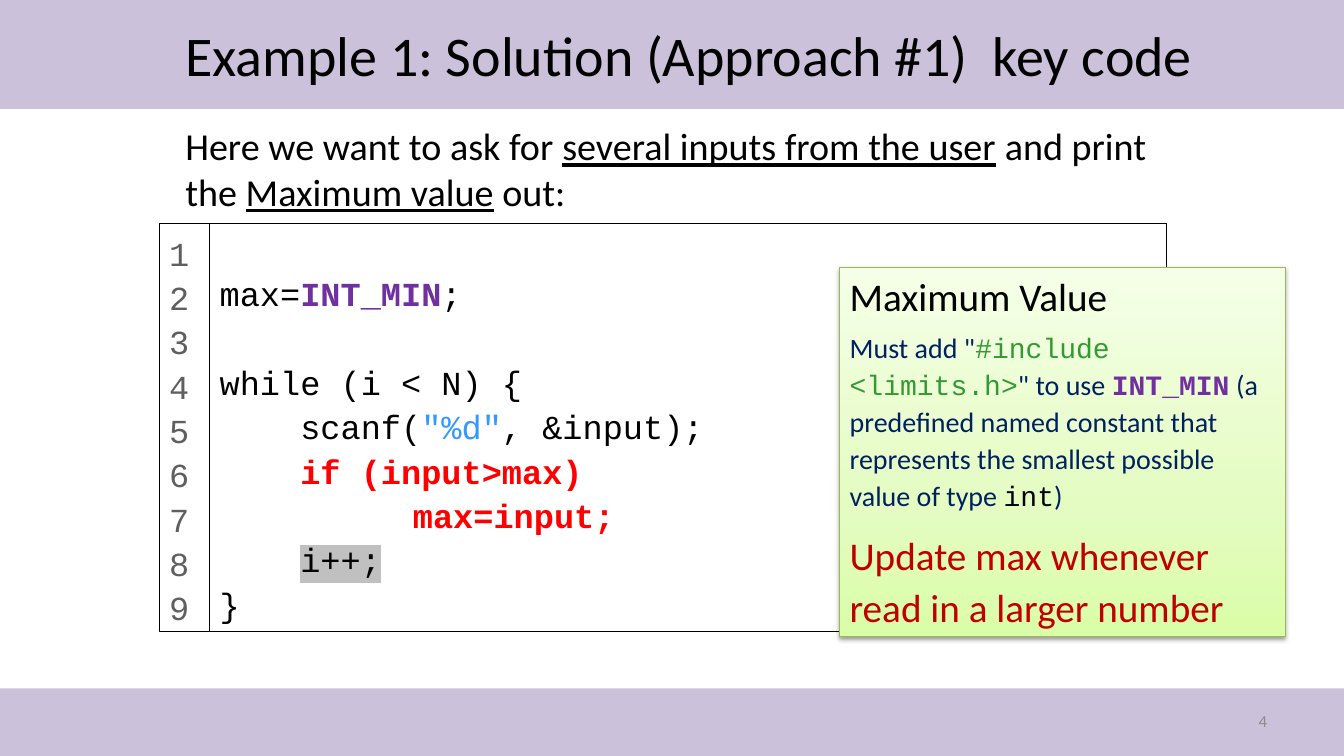
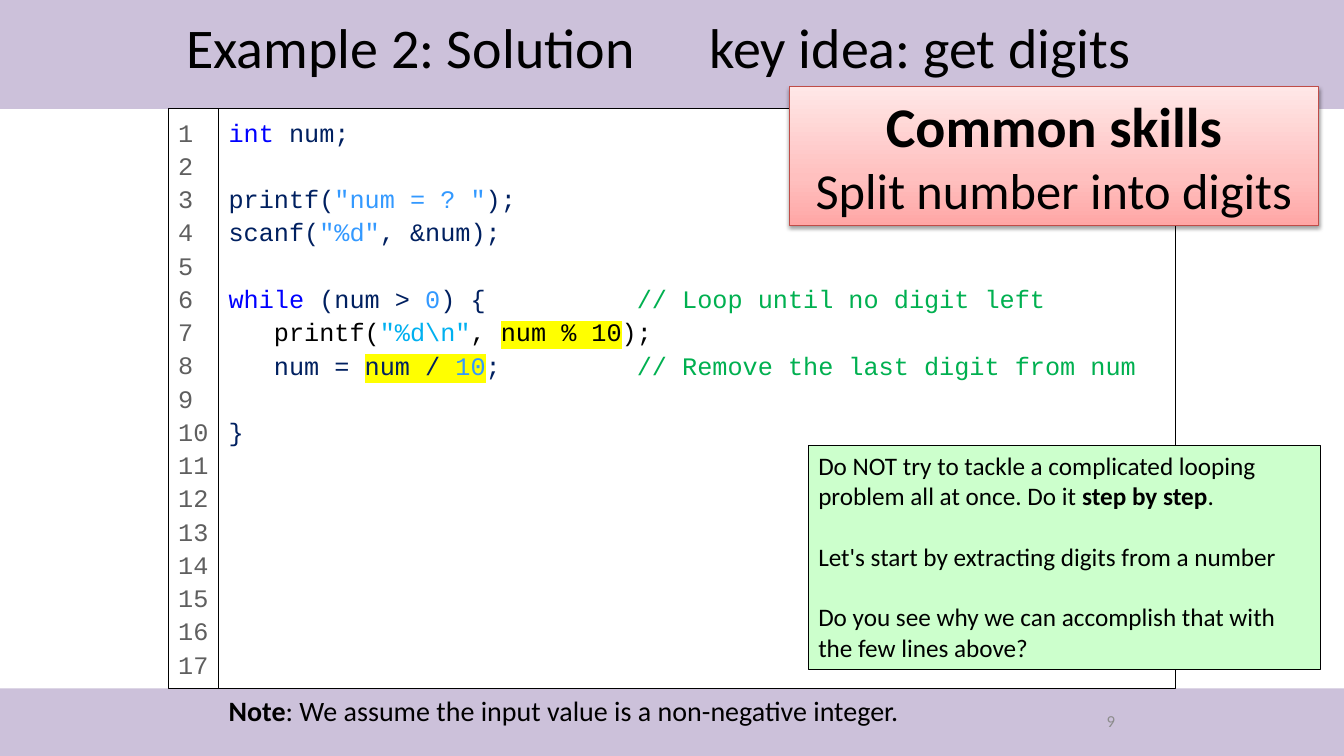
from lxml import etree
from pptx import Presentation
from pptx.dml.color import RGBColor
from pptx.enum import shapes, text
from pptx.oxml import ns
from pptx.util import Pt

# Colours
BLACK = RGBColor(0x00, 0x00, 0x00)
WHITE = RGBColor(0xFF, 0xFF, 0xFF)
LAVENDER = RGBColor(0xCC, 0xC1, 0xDA)
GREY = RGBColor(0x8C, 0x8C, 0x8C)
DARK_GREY = RGBColor(0x5F, 0x5F, 0x5F)
SILVER = RGBColor(0xC0, 0xC0, 0xC0)
NAVY = RGBColor(0x00, 0x20, 0x60)
BLUE = RGBColor(0x00, 0x00, 0xFF)
SKY = RGBColor(0x33, 0x99, 0xFF)
CYAN = RGBColor(0x00, 0xB0, 0xF0)
PURPLE = RGBColor(0x70, 0x30, 0xA0)
RED = RGBColor(0xFF, 0x00, 0x00)
DARK_RED = RGBColor(0xC0, 0x00, 0x00)
GREEN = RGBColor(0x33, 0x99, 0x33)
COMMENT_GREEN = RGBColor(0x00, 0xB0, 0x50)
PALE_GREEN = RGBColor(0xCC, 0xFF, 0xCC)
YELLOW = RGBColor(0xFF, 0xFF, 0x00)
OLIVE = RGBColor(0x98, 0xB9, 0x55)
BRICK = RGBColor(0xBF, 0x4C, 0x48)
LIME_GRADIENT = ((0, "DAFDA7"), (35, "E4FCC2"), (100, "F5FFE7"))
PINK_GRADIENT = ((0, "FFA6A5"), (35, "FFC0BF"), (100, "FFE7E7"))

# Text styles
SANS = {"name": "Calibri", "color": BLACK}
MONO = {"name": "Courier New", "color": BLACK}
BOLD = {"bold": True}
UNDERLINE = {"underline": True}
MARKED = {"highlight": YELLOW}
CONSTANT = {"name": "Courier New", "color": PURPLE, "bold": True}
CENTER = {"alignment": text.PP_ALIGN.CENTER}
RIGHT = {"alignment": text.PP_ALIGN.RIGHT}
CODE = {"line_spacing": 1.1}
MIDDLE = {"vertical_anchor": text.MSO_ANCHOR.MIDDLE}

SLIDE_WIDTH, SLIDE_HEIGHT = 960, 540
HEADER_HEIGHT, FOOTER_TOP = 77.8, 491.8
NUMBERS_WIDTH, CODE_WIDTH = 36, 683.3


def add_box(slide, at, fill=None, line=None, gradient=None):
    """Add a rectangle; a gradient one also casts a soft shadow."""
    shape = slide.shapes.add_shape(shapes.MSO_SHAPE.RECTANGLE, *map(Pt, at))
    shape.shadow.inherit = False
    if gradient:
        shape.fill.gradient()
        shape.fill.gradient_angle = 90
        stops = shape._element.spPr.find(".//" + ns.qn("a:gsLst"))
        for stop in list(stops):
            stops.remove(stop)
        for position, colour in gradient:
            stop = etree.SubElement(stops, ns.qn("a:gs"), pos=str(position * 1000))
            etree.SubElement(stop, ns.qn("a:srgbClr"), val=colour)
    elif fill is not None:
        shape.fill.solid()
        shape.fill.fore_color.rgb = fill
    else:
        shape.fill.background()
    if line is None:
        shape.line.fill.background()
    else:
        shape.line.color.rgb = line
        shape.line.width = Pt(0.75)
    if gradient:
        effects = shape._element.spPr.find(ns.qn("a:effectLst"))
        shadow = etree.SubElement(effects, ns.qn("a:outerShdw"), blurRad=str(Pt(3.1)),
                                  dist=str(Pt(1.6)), dir="5400000", rotWithShape="0")
        colour = etree.SubElement(shadow, ns.qn("a:srgbClr"), val="000000")
        etree.SubElement(colour, ns.qn("a:alpha"), val="38000")
    return shape


def write(shape, base, paragraphs, frame_format=None):
    """Fill a shape with (paragraph format, (text, style), ...) entries."""
    frame = shape.text_frame
    settings = {"word_wrap": True, "vertical_anchor": text.MSO_ANCHOR.TOP}
    for name, value in {**settings, **(frame_format or {})}.items():
        setattr(frame, name, value)
    for index, (paragraph_format, *runs) in enumerate(paragraphs):
        paragraph = frame.paragraphs[0] if index == 0 else frame.add_paragraph()
        for name, value in {"alignment": text.PP_ALIGN.LEFT, **paragraph_format}.items():
            if name == "tab":
                tabs = etree.SubElement(paragraph._p.get_or_add_pPr(), ns.qn("a:tabLst"))
                etree.SubElement(tabs, ns.qn("a:tab"), pos=str(Pt(value)), algn="l")
            elif name == "indent":
                paragraph._p.get_or_add_pPr().set("marL", str(Pt(value)))
            else:
                setattr(paragraph, name, value)
        for words, style in runs:
            run = paragraph.add_run()
            run.text = words
            for name, value in {**base, **style}.items():
                if name == "color":
                    run.font.color.rgb = value
                elif name == "highlight":
                    highlight = etree.Element(ns.qn("a:highlight"))
                    etree.SubElement(highlight, ns.qn("a:srgbClr"), val=str(value))
                    run.font._element.find(ns.qn("a:solidFill")).addnext(highlight)
                else:
                    setattr(run.font, name, value)


presentation = Presentation()
presentation.slide_width, presentation.slide_height = Pt(SLIDE_WIDTH), Pt(SLIDE_HEIGHT)

# Shared parts: bands, title and code panel with line numbers
pages = [
    {
        "title": "Example 1: Solution (Approach #1)\tkey code",
        "title_at": (125.3, 5.8, 768.2, 66.2),
        "title_tab": 576.8,
        "code_at": (149.8, 159.8, CODE_WIDTH, 291.6),
        "code_size": 24,
        "code_top": 32.4,
        "line_count": 9,
        "code": [
            (CODE, ("max=", {}), ("INT_MIN", CONSTANT), (";", {})),
            ({**CODE, "space_before": Pt(31.7)}, ("while (i < N) {", {})),
            (CODE, ("    scanf(", {}), ('"%d"', {"color": SKY}), (", &input);", {})),
            (CODE, ("    ", {}), ("if (input>max)", {"color": RED, **BOLD})),
            ({**CODE, "indent": 138}, ("max=input;", {"color": RED, **BOLD})),
            (CODE, ("    ", {}), ("i++;", {"highlight": SILVER})),
            (CODE, ("}", {})),
        ],
    },
    {
        "title": "Example 2: Solution\tkey idea: get digits",
        "title_at": (126, 13, 702, 39.6),
        "title_tab": 374,
        "code_at": (156.2, HEADER_HEIGHT, CODE_WIDTH, FOOTER_TOP - HEADER_HEIGHT),
        "code_size": 18,
        "code_top": 3.6,
        "line_count": 17,
        "code": [
            (CODE, ("int ", {"color": BLUE}), ("num;", {"color": NAVY})),
            ({**CODE, "space_before": Pt(23.8)}, ("printf(", {"color": NAVY}),
             ('"num = ? "', {"color": SKY}), (");", {"color": NAVY})),
            (CODE, ("scanf(", {"color": NAVY}), ('"%d"', {"color": SKY}),
             (", &num);", {"color": NAVY})),
            ({**CODE, "space_before": Pt(23.8), "tab": 291.6}, ("while ", {"color": BLUE}),
             ("(num > ", {"color": NAVY}), ("0", {"color": SKY}), (") {\t", {"color": NAVY}),
             ("// Loop until no digit left", {"color": COMMENT_GREEN})),
            (CODE, ("   printf(", {}), ('"%d\\n"', {"color": CYAN}), (", ", {}),
             ("num % 10", MARKED), (");", {})),
            ({**CODE, "tab": 291.6}, ("   num = ", {"color": NAVY}),
             ("num / ", {"color": NAVY, **MARKED}), ("10", {"color": SKY, **MARKED}),
             (";\t", {"color": NAVY}),
             ("// Remove the last digit from num", {"color": COMMENT_GREEN})),
            ({**CODE, "space_before": Pt(23.8)}, ("}", {"color": NAVY})),
        ],
    },
]
slides = []
for page in pages:
    slide = presentation.slides.add_slide(presentation.slide_layouts[6])
    slides.append(slide)
    add_box(slide, (0, 0, SLIDE_WIDTH, HEADER_HEIGHT), LAVENDER)
    add_box(slide, (0, FOOTER_TOP, SLIDE_WIDTH, SLIDE_HEIGHT - FOOTER_TOP), LAVENDER)
    title = slide.shapes.add_textbox(*map(Pt, page["title_at"]))
    write(title, {**SANS, "size": Pt(40)},
          [({"tab": page["title_tab"]}, (page["title"], {}))], MIDDLE)

    left, top, width, height = page["code_at"]
    mono = {**MONO, "size": Pt(page["code_size"])}
    code = add_box(slide, page["code_at"], WHITE, BLACK)
    write(code, mono, page["code"], {"margin_top": Pt(page["code_top"])})
    numbers = add_box(slide, (left - NUMBERS_WIDTH, top, NUMBERS_WIDTH, height), WHITE, BLACK)
    write(numbers, {**mono, "color": DARK_GREY},
          [(CODE, (str(number + 1), {})) for number in range(page["line_count"])],
          {"margin_right": 0})

maximum_slide, digits_slide = slides

# Slide 1: task and callout
task = maximum_slide.shapes.add_textbox(Pt(125.3), Pt(84.2), Pt(703.4), Pt(64.1))
write(task, {**SANS, "size": Pt(27.2)}, [
    ({}, ("Here we want to ask for ", {}), ("several inputs from the user", UNDERLINE),
     (" and print the ", {}), ("Maximum value", UNDERLINE), (" out:", {})),
])
callout = add_box(maximum_slide, (599.8, 190.8, 318.2, 264.2), line=OLIVE,
                  gradient=LIME_GRADIENT)
write(callout, {**SANS, "color": NAVY, "size": Pt(20)}, [
    ({}, ("Maximum Value", {"size": Pt(28), "color": BLACK})),
    ({**CODE, "space_before": Pt(6)}, ('Must add "', {}),
     ("#include <limits.h>", {**MONO, "color": GREEN}), ('" to use ', {}),
     ("INT_MIN", CONSTANT),
     (" (a predefined named constant that represents the smallest possible value of type ", {}),
     ("int", MONO), (")", {})),
    ({**CODE, "space_before": Pt(10.6)},
     ("Update max whenever read in a larger number", {"size": Pt(28), "color": DARK_RED})),
])

# Slide 2: note, advice and heading card
note = digits_slide.shapes.add_textbox(Pt(156.2), Pt(FOOTER_TOP), Pt(600), Pt(31.7))
write(note, {**SANS, "size": Pt(20)}, [
    ({}, ("Note", BOLD), (": We assume the input value is a non-negative integer.", {})),
])
advice = add_box(digits_slide, (577.4, 318.2, 365.8, 159.8), PALE_GREEN, BLACK)
write(advice, {**SANS, "size": Pt(18)}, [
    ({}, ("Do NOT try to tackle a complicated looping problem all at once. Do it ", {}),
     ("step by step", BOLD), (".", {})),
    ({"space_before": Pt(21.6)}, ("Let's start by extracting digits from a number", {})),
    ({"space_before": Pt(21.6)},
     ("Do you see why we can accomplish that with the few lines above?", {})),
])
skills = add_box(digits_slide, (563.8, 61.9, 378, 99.4), line=BRICK, gradient=PINK_GRADIENT)
write(skills, SANS, [
    (CENTER, ("Common skills", {"size": Pt(40), **BOLD})),
    (CENTER, ("Split number into digits", {"size": Pt(36)})),
])

# Page numbers
for slide, number, left, width in ((maximum_slide, "4", 688.3, 223.9),
                                   (digits_slide, "9", 635.8, 167.8)):
    page_number = slide.shapes.add_textbox(Pt(left), Pt(500.4), Pt(width), Pt(28.8))
    write(page_number, {**SANS, "size": Pt(12), "color": GREY},
          [(RIGHT, (number, {}))], MIDDLE)

presentation.save("out.pptx")
